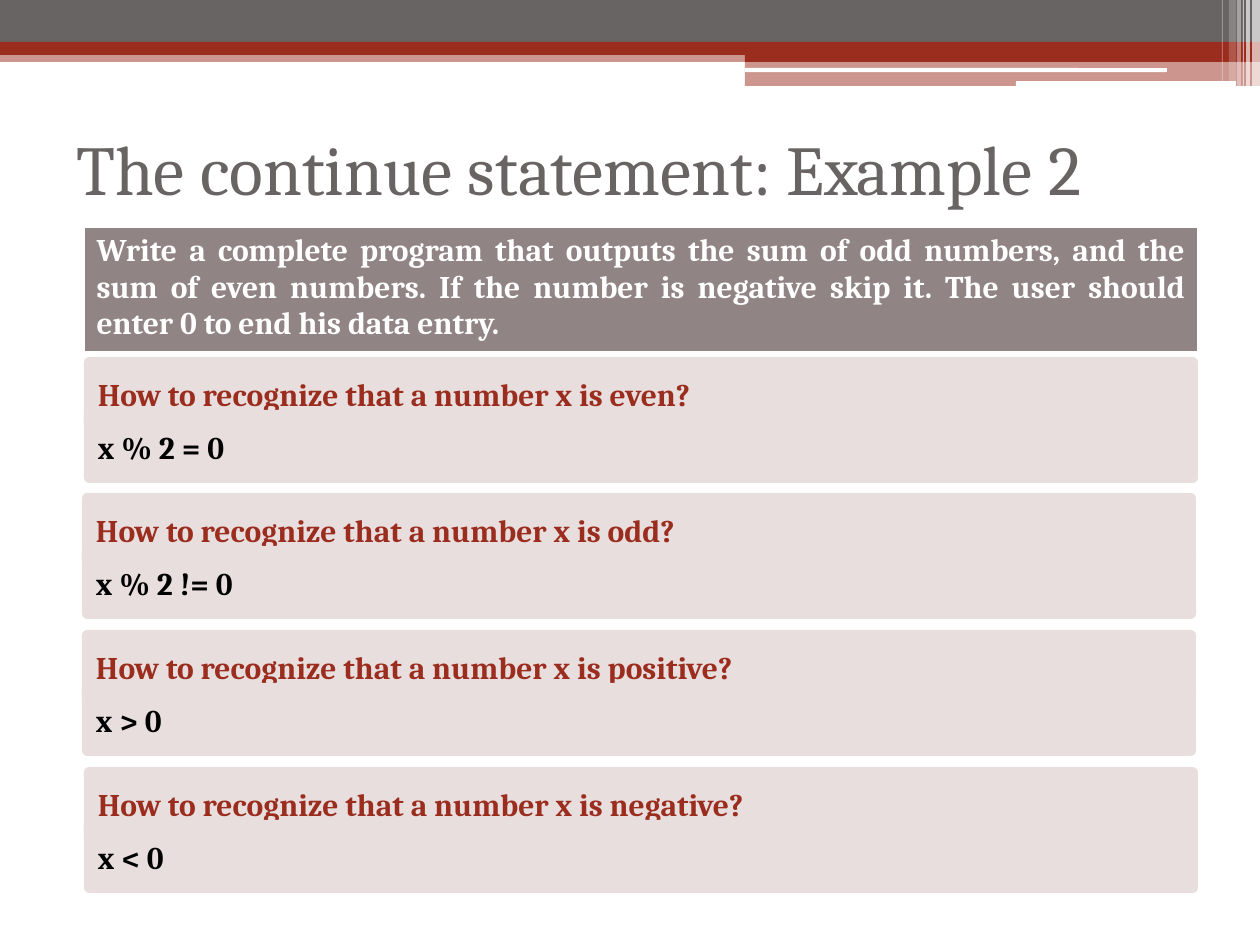
from typing import NamedTuple

import pptx
import pptx.dml.color
import pptx.enum.shapes
import pptx.enum.text
import pptx.oxml
import pptx.oxml.ns
import pptx.util

EMU_PER_PX = 914400 / 126
FONT = "Cambria"
GREY, RED, WHITE, BLACK = "696464", "9B2D1F", "FFFFFF", "000000"
PANEL, HEADER = "E8DEDE", "918485"
RECT = pptx.enum.shapes.MSO_SHAPE.RECTANGLE
ROUNDED = pptx.enum.shapes.MSO_SHAPE.ROUNDED_RECTANGLE
MIDDLE = pptx.enum.text.MSO_ANCHOR.MIDDLE
LEFT = pptx.enum.text.PP_ALIGN.LEFT
JUSTIFY = pptx.enum.text.PP_ALIGN.JUSTIFY


class Bar(NamedTuple):
    left: int
    top: int
    width: int
    height: int
    color: str
    opacity: int = 100
    corner: float = 0


class Question(NamedTuple):
    left: int
    top: int
    question: str
    answer: str


BANNER = [
    Bar(0, 50, 1260, 12, RED, 50),
    Bar(0, 0, 1260, 43, GREY),
    Bar(0, 42, 1260, 13, RED),
    Bar(745, 49, 515, 13, RED),
    Bar(745, 61, 515, 25, RED, 50),
    Bar(745, 68, 422, 4, WHITE, corner=0.17),
    Bar(1016, 81, 220, 5, WHITE, corner=0.17),
    Bar(1252, 0, 8, 86, WHITE, 65),
    Bar(1246, 0, 4, 86, WHITE, 65),
    Bar(1243, 0, 1, 86, WHITE, 60),
    Bar(1237, 0, 4, 86, WHITE, 40),
    Bar(1229, 0, 7, 81, WHITE, 20),
    Bar(1222, 0, 1, 81, WHITE, 30),
]

QUESTIONS = [
    Question(84, 357, "How to recognize that a number x is even?", "x % 2 = 0"),
    Question(82, 493, "How to recognize that a number x is odd?", "x % 2 != 0"),
    Question(82, 630, "How to recognize that a number x is positive?", "x > 0"),
    Question(84, 767, "How to recognize that a number x is negative?", "x < 0"),
]
PANEL_WIDTH, PANEL_HEIGHT, ANSWER_OFFSET = 1114, 73, 53

TASK = (
    "Write a complete program that outputs the sum of odd numbers, and the sum "
    "of even numbers. If the number is negative skip it. The user should enter "
    "0 to end his data entry."
)


def px(length: int) -> pptx.util.Emu:
    return pptx.util.Emu(round(length * EMU_PER_PX))


def rgb(color: str) -> pptx.dml.color.RGBColor:
    return pptx.dml.color.RGBColor.from_string(color)


def write(frame, text: str, size: int, color: str, bold=True, align=LEFT) -> None:
    paragraph = frame.paragraphs[0]
    paragraph.text = text
    paragraph.alignment = align
    font = paragraph.runs[0].font
    font.name, font.size, font.bold = FONT, pptx.util.Pt(size), bold
    font.color.rgb = rgb(color)


def draw_bar(slide, bar: Bar):
    shape = slide.shapes.add_shape(
        ROUNDED if bar.corner else RECT,
        px(bar.left), px(bar.top), px(bar.width), px(bar.height))
    if bar.corner:
        shape.adjustments[0] = bar.corner
    shape.shadow.inherit = False
    shape.line.fill.background()
    shape.fill.solid()
    shape.fill.fore_color.rgb = rgb(bar.color)
    if bar.opacity < 100:
        color = shape.fill._xPr.find(".//" + pptx.oxml.ns.qn("a:srgbClr"))
        color.append(pptx.oxml.parse_xml(
            f'<a:alpha {pptx.oxml.ns.nsdecls("a")} val="{bar.opacity * 1000}"/>'))
    return shape


def draw_panel(slide, left: int, top: int, text: str, color: str) -> None:
    panel = draw_bar(slide, Bar(left, top, PANEL_WIDTH, PANEL_HEIGHT, PANEL, corner=0.07))
    panel.text_frame.word_wrap = True
    panel.text_frame.vertical_anchor = MIDDLE
    write(panel.text_frame, text, 18, color)


def draw_question(slide, item: Question) -> None:
    draw_panel(slide, item.left, item.top, item.question, RED)
    draw_panel(slide, item.left, item.top + ANSWER_OFFSET, item.answer, BLACK)


def draw_title(slide, text: str) -> None:
    title = slide.shapes.add_textbox(px(64), px(94), px(1134), px(147))
    title.text_frame.word_wrap = True
    title.text_frame.vertical_anchor = MIDDLE
    write(title.text_frame, text, 40, GREY, bold=False)


def draw_task(slide, text: str) -> None:
    frame = slide.shapes.add_table(1, 1, px(84), px(227), px(PANEL_WIDTH), px(126))
    frame.table.rows[0].height = px(52)
    frame.height = px(126)
    cell = frame.table.cell(0, 0)
    write(cell.text_frame, text, 18, WHITE, align=JUSTIFY)
    # Cell borders come before the fill in the cell properties
    properties = cell._tc.get_or_add_tcPr()
    for side, points in (("L", 1), ("R", 1), ("T", 1), ("B", 3)):
        properties.append(pptx.oxml.parse_xml(
            f'<a:ln{side} {pptx.oxml.ns.nsdecls("a")} w="{pptx.util.Pt(points)}">'
            f'<a:solidFill><a:srgbClr val="{WHITE}"/></a:solidFill></a:ln{side}>'))
    cell.fill.solid()
    cell.fill.fore_color.rgb = rgb(HEADER)


def main() -> None:
    deck = pptx.Presentation()
    deck.slide_width, deck.slide_height = px(1260), px(945)
    slide = deck.slides.add_slide(deck.slide_layouts[6])

    # Banner across the top
    for bar in BANNER:
        draw_bar(slide, bar)

    # Title and task
    draw_title(slide, "The continue statement: Example 2")
    draw_task(slide, TASK)

    # Questions, each partly covered by its answer
    for item in QUESTIONS:
        draw_question(slide, item)

    deck.save("out.pptx")


if __name__ == "__main__":
    main()
